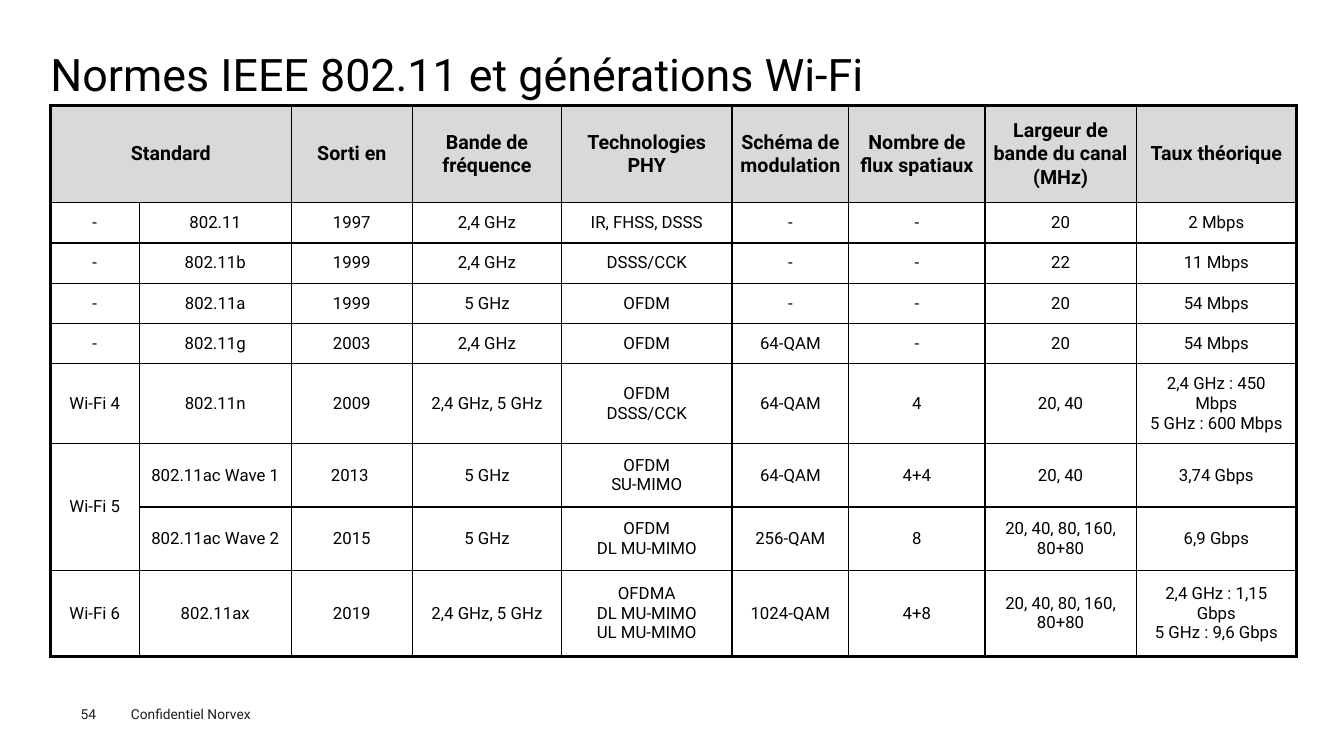
from lxml import etree
from pptx import Presentation
from pptx import util as u
from pptx.dml.color import RGBColor
from pptx.enum import text
from pptx.oxml.ns import qn

COLORS = {"ink": "000000", "footer": "1D1D1B", "header": "D9D9D9"}
COLUMN_WIDTHS = [0.88, 1.51, 1.2, 1.48, 1.69, 1.16, 1.35, 1.5, 1.59]
ROW_HEIGHTS = [0.96] + [0.4] * 4 + [0.79, 0.63, 0.63, 0.85]
EVEN_MARGIN_COLUMNS = range(4, 8)
STANDARDS = [
    ["Standard", "", "Sorti en", "Bande de fréquence", "Technologies PHY", "Schéma de modulation",
     "Nombre de flux spatiaux", "Largeur de bande du canal (MHz)", "Taux théorique"],
    ["-", "802.11", "1997", "2,4 GHz", "IR, FHSS, DSSS", "-", "-", "20", "2 Mbps"],
    ["-", "802.11b", "1999", "2,4 GHz", "DSSS/CCK", "-", "-", "22", "11 Mbps"],
    ["-", "802.11a", "1999", "5 GHz", "OFDM", "-", "-", "20", "54 Mbps"],
    ["-", "802.11g", "2003", "2,4 GHz", "OFDM", "64-QAM", "-", "20", "54 Mbps"],
    ["Wi-Fi 4", "802.11n", "2009", "2,4 GHz, 5 GHz", "OFDM\nDSSS/CCK", "64-QAM", "4", "20, 40",
     "2,4 GHz : 450 Mbps\n5 GHz : 600 Mbps"],
    ["Wi-Fi 5", "802.11ac Wave 1", "2013 ", "5 GHz", "OFDM\nSU-MIMO", "64-QAM", "4+4", "20, 40",
     "3,74 Gbps"],
    ["", "802.11ac Wave 2", "2015", "5 GHz", "OFDM\nDL MU-MIMO", "256-QAM", "8",
     "20, 40, 80, 160, 80+80", "6,9 Gbps"],
    ["Wi-Fi 6", "802.11ax", "2019", "2,4 GHz, 5 GHz", "OFDMA\nDL MU-MIMO\nUL MU-MIMO", "1024-QAM",
     "4+8", "20, 40, 80, 160, 80+80", "2,4 GHz : 1,15 Gbps\n5 GHz : 9,6 Gbps"],
]
MERGES = [((0, 0), (0, 1)), ((6, 0), (7, 0))]


class SlideBuilder:
    """Draws styled text and tables on the current slide."""

    def __init__(self, slide, font="Roboto"):
        self.slide = slide
        self.font = font

    def apply(self, target, values):
        for name, value in values.items():
            setattr(target, name, value)

    def style(self, frame, size, color="ink", bold=False, **paragraph_format):
        for paragraph in frame.paragraphs:
            self.apply(paragraph, paragraph_format)
            for run in paragraph.runs:
                self.apply(run.font, {"name": self.font, "size": u.Pt(size), "bold": bold})
                run.font.color.rgb = RGBColor.from_string(COLORS[color])

    def label(self, wording, box, size, color="ink", margins=(0, 0), **paragraph_format):
        frame = self.slide.shapes.add_textbox(*map(u.Inches, box)).text_frame
        side, edge = map(u.Inches, margins)
        self.apply(frame, {
            "text": wording, "word_wrap": True, "vertical_anchor": text.MSO_ANCHOR.MIDDLE,
            "margin_left": side, "margin_right": side, "margin_top": edge, "margin_bottom": edge})
        self.style(frame, size, color, **paragraph_format)

    def border(self, cell, widths):
        properties = cell._tc.get_or_add_tcPr()
        for side, width in widths.items():
            line = etree.SubElement(properties, qn(f"a:ln{side}"), w=str(u.Pt(width)))
            fill = etree.SubElement(line, qn("a:solidFill"))
            etree.SubElement(fill, qn("a:srgbClr"), val=COLORS["ink"])

    def cell(self, cell, wording, header, even_margins, widths):
        side, edge = map(u.Inches, (0.08, 0.08) if even_margins else (0.1, 0.05))
        self.apply(cell, {
            "text": wording, "vertical_anchor": text.MSO_ANCHOR.MIDDLE,
            "margin_left": side, "margin_right": side, "margin_top": edge, "margin_bottom": edge})
        self.style(cell.text_frame, 14 if header else 12, bold=header, alignment=text.PP_ALIGN.CENTER)
        self.border(cell, widths)
        if header:
            cell.fill.solid()
            cell.fill.fore_color.rgb = RGBColor.from_string(COLORS["header"])
        else:
            cell.fill.background()

    def table(self, rows, box, thin=1, thick=2.25):
        last_row, last_column = len(rows) - 1, len(rows[0]) - 1
        grid = self.slide.shapes.add_table(len(rows), len(rows[0]), *map(u.Inches, box)).table
        self.apply(grid, {"first_row": False, "horz_banding": False})
        for column, width in zip(grid.columns, COLUMN_WIDTHS):
            column.width = u.Inches(width)
        for row, height in zip(grid.rows, ROW_HEIGHTS):
            row.height = u.Inches(height)
        for r, row in enumerate(rows):
            for c, wording in enumerate(row):
                outer = {"L": c == 0, "R": c == last_column, "T": r == 0, "B": r == last_row}
                widths = {side: thick if edge else thin for side, edge in outer.items()}
                self.cell(grid.cell(r, c), wording, r == 0, c in EVEN_MARGIN_COLUMNS, widths)
        for start, end in MERGES:
            grid.cell(*start).merge(grid.cell(*end))


def main():
    deck = Presentation()
    deck.slide_width, deck.slide_height = u.Inches(13.33), u.Inches(7.5)
    builder = SlideBuilder(deck.slides.add_slide(deck.slide_layouts[6]))
    builder.label("Confidentiel Norvex", (1.2, 6.95, 1.6, 0.27), 9.8, "footer", (0.1, 0.05))
    builder.label("54", (0.8, 7, 0.55, 0.16), 9.8, "footer")
    builder.label("Normes IEEE 802.11 et générations Wi-Fi", (0.5, 0.49, 12.35, 0.54), 32,
                  line_spacing=0.9)
    builder.table(STANDARDS, (0.5, 1.05, 12.35, 5.45))
    deck.save("out.pptx")


if __name__ == "__main__":
    main()
